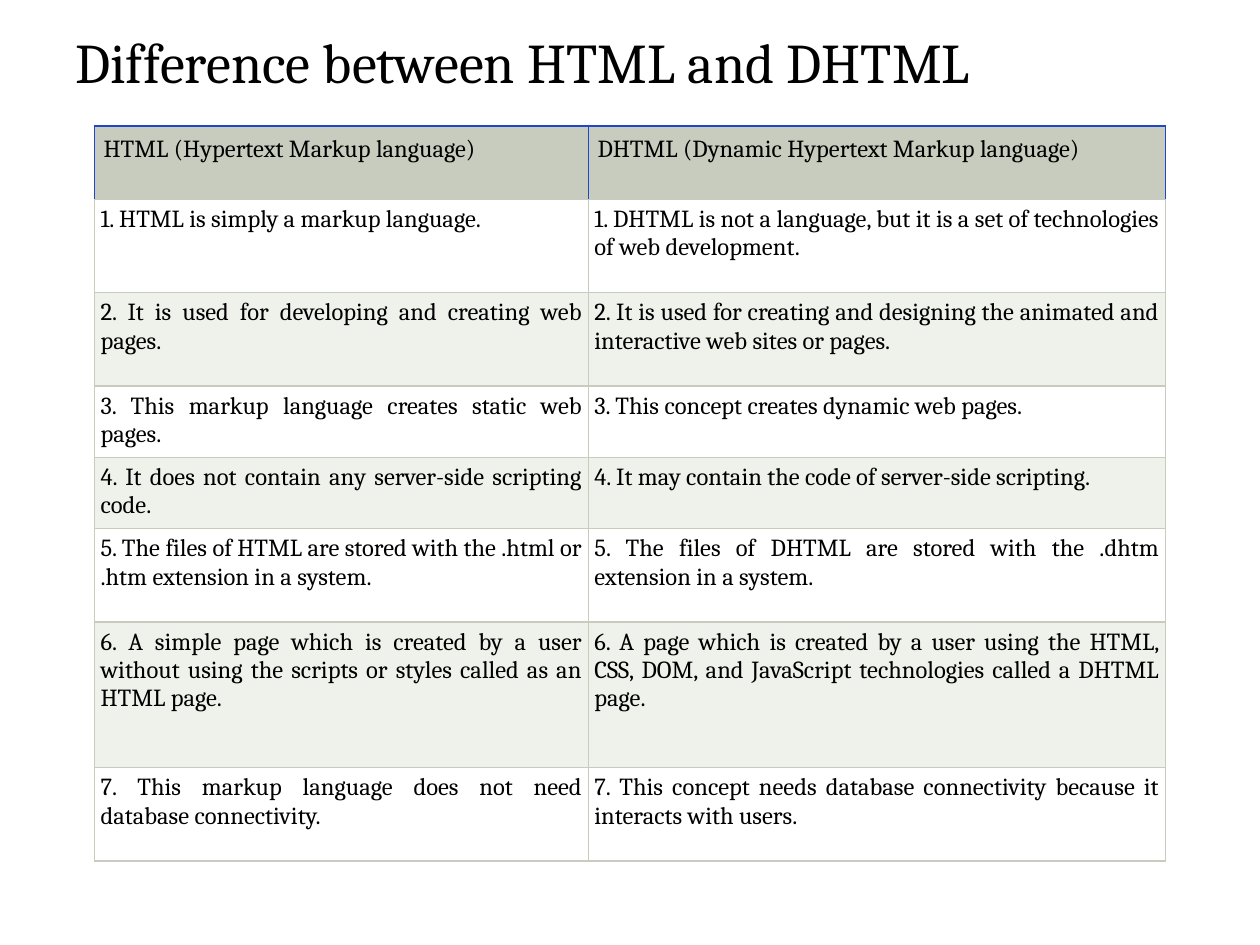
import dataclasses

import pptx
import pptx.dml.color
import pptx.enum.text
import pptx.oxml
import pptx.oxml.ns
import pptx.util
from pptx.util import Pt


@dataclasses.dataclass(frozen=True)
class Theme:
    font: str = "Cambria"
    title_size: float = 32
    cell_size: float = 14
    text: str = "000000"
    header: str = "C7CCBE"
    header_line: str = "2047C4"
    grid_line: str = "C7CCBE"
    bands: tuple = ("FFFFFF", "EFF1EB")
    line_width: float = 0.75
    header_inset: float = 5.25
    body_inset: float = 3.5


HEADINGS = (
    "HTML (Hypertext Markup language)",
    "DHTML (Dynamic Hypertext Markup language)",
)
DIFFERENCES = (
    ("1. HTML is simply a markup language.",
     "1. DHTML is not a language, but it is a set of technologies of web development."),
    ("2. It is used for developing and creating web pages.",
     "2. It is used for creating and designing the animated and interactive web sites or pages."),
    ("3. This markup language creates static web pages.",
     "3. This concept creates dynamic web pages."),
    ("4. It does not contain any server-side scripting code.",
     "4. It may contain the code of server-side scripting."),
    ("5. The files of HTML are stored with the .html or .htm extension in a system.",
     "5. The files of DHTML are stored with the .dhtm extension in a system."),
    ("6. A simple page which is created by a user without using the scripts or styles "
     "called as an HTML page.",
     "6. A page which is created by a user using the HTML, CSS, DOM, and JavaScript "
     "technologies called a DHTML page."),
    ("7. This markup language does not need database connectivity.",
     "7. This concept needs database connectivity because it interacts with users."),
)
COLUMN_WIDTHS = (282.2, 329.8)
ROW_HEIGHTS = (42, 53.3, 53.3, 40.8, 40.8, 53.3, 83.3, 53.3)


class SlideBuilder:
    def __init__(self, s, theme):
        self.s = s
        self.theme = theme

    def add_run(self, p, text, size):
        r = p.add_run()
        r.text = text
        r.font.name = self.theme.font
        r.font.size = Pt(size)
        r.font.color.rgb = pptx.dml.color.RGBColor.from_string(self.theme.text)

    def title(self, text, left, top, width, height):
        tf = self.s.shapes.add_textbox(Pt(left), Pt(top), Pt(width), Pt(height)).text_frame
        tf.word_wrap = True
        self.add_run(tf.paragraphs[0], text, self.theme.title_size)

    def table(self, headings, body, left, top, widths, heights):
        tbl = self.s.shapes.add_table(
            len(heights), len(widths), Pt(left), Pt(top), Pt(sum(widths)), Pt(sum(heights))
        ).table
        for column, width in zip(tbl.columns, widths):
            column.width = Pt(width)
        for row, height in zip(tbl.rows, heights):
            row.height = Pt(height)
        for i, texts in enumerate((headings, *body)):
            for j, text in enumerate(texts):
                self.cell(tbl.cell(i, j), text, i)

    def cell(self, cell, text, row):
        t = self.theme
        is_header = row == 0
        inset = Pt(t.header_inset if is_header else t.body_inset)
        cell.margin_left = cell.margin_right = inset
        cell.margin_top = cell.margin_bottom = inset
        p = cell.text_frame.paragraphs[0]
        if not is_header:
            p.alignment = pptx.enum.text.PP_ALIGN.JUSTIFY
        self.add_run(p, text, t.cell_size)
        self.borders(cell, t.header_line if is_header else t.grid_line)
        fill = t.header if is_header else t.bands[(row - 1) % 2]
        cell.fill.solid()
        cell.fill.fore_color.rgb = pptx.dml.color.RGBColor.from_string(fill)

    def borders(self, cell, color):
        """Line the left, right and top in color, the bottom in the grid colour."""
        tc_pr = cell._tc.get_or_add_tcPr()
        sides = {"lnL": color, "lnR": color, "lnT": color, "lnB": self.theme.grid_line}
        for tag, rgb in sides.items():
            tc_pr.append(pptx.oxml.parse_xml(
                f'<a:{tag} {pptx.oxml.ns.nsdecls("a")} w="{Pt(self.theme.line_width)}">'
                f'<a:solidFill><a:srgbClr val="{rgb}"/></a:solidFill></a:{tag}>'
            ))


def main():
    prs = pptx.Presentation()
    prs.slide_width, prs.slide_height = Pt(720), Pt(540)
    builder = SlideBuilder(prs.slides.add_slide(prs.slide_layouts[6]), Theme())
    builder.title("Difference between HTML and DHTML", 36, 12, 648, 470)
    builder.table(HEADINGS, DIFFERENCES, 54, 72, COLUMN_WIDTHS, ROW_HEIGHTS)
    prs.save("out.pptx")


if __name__ == "__main__":
    main()
